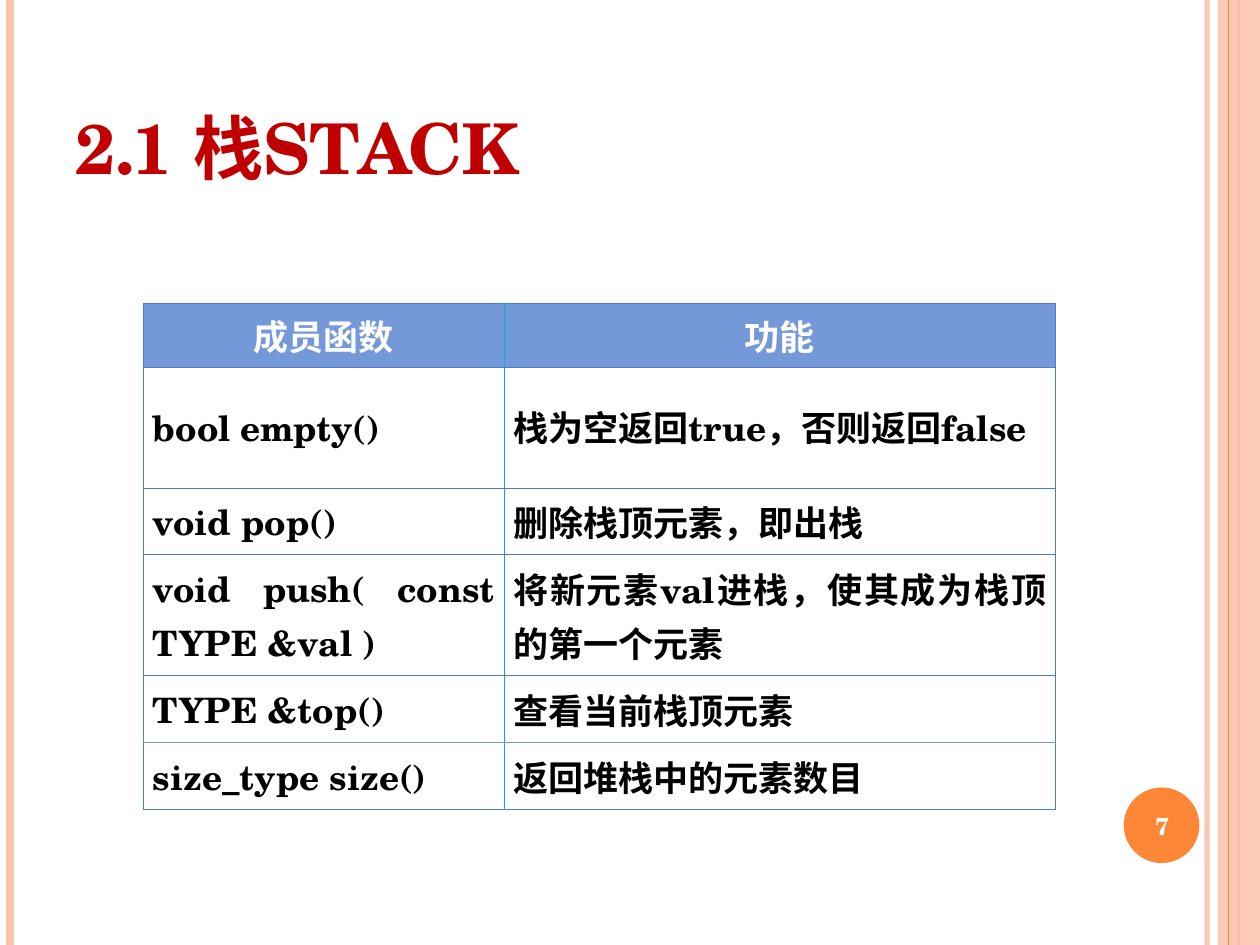
from collections import namedtuple
from dataclasses import dataclass

from lxml import etree
from pptx import Presentation
from pptx.dml.color import RGBColor
from pptx.enum.shapes import MSO_CONNECTOR, MSO_SHAPE
from pptx.enum.text import MSO_ANCHOR, MSO_AUTO_SIZE, PP_ALIGN
from pptx.oxml.ns import qn
from pptx.util import Pt

STRAIGHT = MSO_CONNECTOR.STRAIGHT
RECTANGLE, OVAL = MSO_SHAPE.RECTANGLE, MSO_SHAPE.OVAL
MIDDLE, BOTTOM = MSO_ANCHOR.MIDDLE, MSO_ANCHOR.BOTTOM
LEFT, CENTER, JUSTIFY = PP_ALIGN.LEFT, PP_ALIGN.CENTER, PP_ALIGN.JUSTIFY
NO_AUTOFIT = MSO_AUTO_SIZE.NONE

Box = namedtuple("Box", "left top width height")


@dataclass(frozen=True)
class Theme:
    font: str = "TeX Gyre Schola"
    title: str = "C00000"
    text: str = "000000"
    light: str = "FFFFFF"
    peach: str = "FEC3AE"
    orange: str = "FE8637"
    header: str = "7598D9"
    grid: str = "4D7BCF"
    divider: str = "00B0F0"
    title_size: float = 40
    table_size: float = 20
    number_size: float = 14
    grid_width: float = 0.45


THEME = Theme()

FUNCTIONS = [
    ("成员函数", "功能"),
    ("bool empty()", "栈为空返回true，否则返回false"),
    ("void pop()", "删除栈顶元素，即出栈"),
    ("void push( const TYPE &val )", "将新元素val进栈，使其成为栈顶的第一个元素"),
    ("TYPE &top()", "查看当前栈顶元素"),
    ("size_type size()", "返回堆栈中的元素数目"),
]
COLUMN_SHARES = (2.86, 4.38)
ROW_HEIGHTS = (31, 49, 31, 58.3, 31, 32.4)


def in_points(box):
    return [Pt(value) for value in box]


def write(frame, text, size, color, align):
    para = frame.paragraphs[0]
    para.alignment = align
    span = para.add_run()
    span.text = text
    span.font.name = THEME.font
    span.font.size = Pt(size)
    span.font.bold = True
    span.font.color.rgb = RGBColor.from_string(color)


def set_opacity(shape, percent):
    """Apply opacity to the first colour of the shape's fill or line."""
    color = shape._element.spPr.find(".//" + qn("a:srgbClr"))
    etree.SubElement(color, qn("a:alpha")).set("val", str(percent * 1000))


def add_rule(page, x, top, height, color, width):
    rule = page.shapes.add_connector(STRAIGHT, Pt(x), Pt(top), Pt(x), Pt(top + height))
    rule.line.color.rgb = RGBColor.from_string(color)
    rule.line.width = Pt(width)
    etree.SubElement(rule._element.spPr, qn("a:effectLst"))
    return rule


def add_solid(page, kind, box, color):
    shape = page.shapes.add_shape(kind, *in_points(box))
    shape.shadow.inherit = False
    shape.fill.solid()
    shape.fill.fore_color.rgb = RGBColor.from_string(color)
    shape.line.fill.background()
    return shape


def add_side_bands(page, box):
    right = box.left + box.width

    def rule(x, color, width):
        return add_rule(page, x, box.top, box.height, color, width)

    set_opacity(rule(right - 30.25, THEME.peach, 3), 93)
    rule(box.left + 5.75, THEME.peach, 4.5)
    rule(right - 12.25, THEME.orange, 1.5)
    band = add_solid(page, RECTANGLE, Box(right - 24, box.top, 24, box.height), THEME.peach)
    set_opacity(band, 87)
    rule(right - 18, THEME.orange, 0.75)


def add_page_number(page, box, number):
    add_solid(page, OVAL, box, THEME.orange)
    label_box = Box(box.left - 2.1, box.top + 1.3, box.width + 5, box.height - 2.4)
    frame = page.shapes.add_textbox(*in_points(label_box)).text_frame
    frame.word_wrap = True
    frame.vertical_anchor = MIDDLE
    write(frame, number, THEME.number_size, THEME.light, CENTER)


def fill_title(page, box, text):
    title = page.shapes.title
    title.left, title.top, title.width, title.height = in_points(box)
    frame = title.text_frame
    frame.auto_size = NO_AUTOFIT
    frame.vertical_anchor = BOTTOM
    write(frame, text, THEME.title_size, THEME.title, LEFT)


def set_borders(cell, colors):
    """Draw the left, right, top and bottom borders, in that order."""
    properties = cell._tc.get_or_add_tcPr()
    for index, (side, color) in enumerate(zip("LRTB", colors)):
        line = etree.Element(qn(f"a:ln{side}"), w=str(Pt(THEME.grid_width)))
        fill = etree.SubElement(line, qn("a:solidFill"))
        etree.SubElement(fill, qn("a:srgbClr"), val=color)
        properties.insert(index, line)


def add_function_table(page, box, rows):
    last_row, last_column = len(rows) - 1, len(COLUMN_SHARES) - 1
    table = page.shapes.add_table(len(rows), len(COLUMN_SHARES), *in_points(box)).table
    table.first_row = table.horz_banding = False
    for column, share in zip(table.columns, COLUMN_SHARES):
        column.width = Pt(round(box.width * share / sum(COLUMN_SHARES), 2))
    for row, height in zip(table.rows, ROW_HEIGHTS):
        row.height = Pt(height)

    # The rule above the last row takes the header colour.
    rules = [THEME.grid] * (len(rows) + 1)
    rules[last_row] = THEME.header
    uprights = [THEME.grid, THEME.divider, THEME.grid]
    for r, texts in enumerate(rows):
        for c, text in enumerate(texts):
            cell = table.cell(r, c)
            cell.vertical_anchor = MIDDLE
            cell.margin_left = cell.margin_right = Pt(5.4)
            cell.margin_top = cell.margin_bottom = Pt(3.6)
            if r == 0:
                cell.fill.solid()
                cell.fill.fore_color.rgb = RGBColor.from_string(THEME.header)
                write(cell.text_frame, text, THEME.table_size, THEME.light, CENTER)
            else:
                cell.fill.background()
                write(cell.text_frame, text, THEME.table_size, THEME.text, JUSTIFY)
            set_borders(cell, uprights[c:c + 2] + rules[r:r + 2])


def main():
    deck = Presentation()
    deck.slide_width, deck.slide_height = Pt(720), Pt(540)
    page = deck.slides.add_slide(deck.slide_layouts.get_by_name("Title Only"))
    add_side_bands(page, Box(0, 0, 720, 540))
    fill_title(page, Box(36, 21.6, 588, 90), "2.1 栈STACK")
    add_function_table(page, Box(82, 173.4, 521.3, sum(ROW_HEIGHTS)), FUNCTIONS)
    add_page_number(page, Box(642.2, 450, 43.2, 43.2), "7")
    deck.save("out.pptx")


if __name__ == "__main__":
    main()
